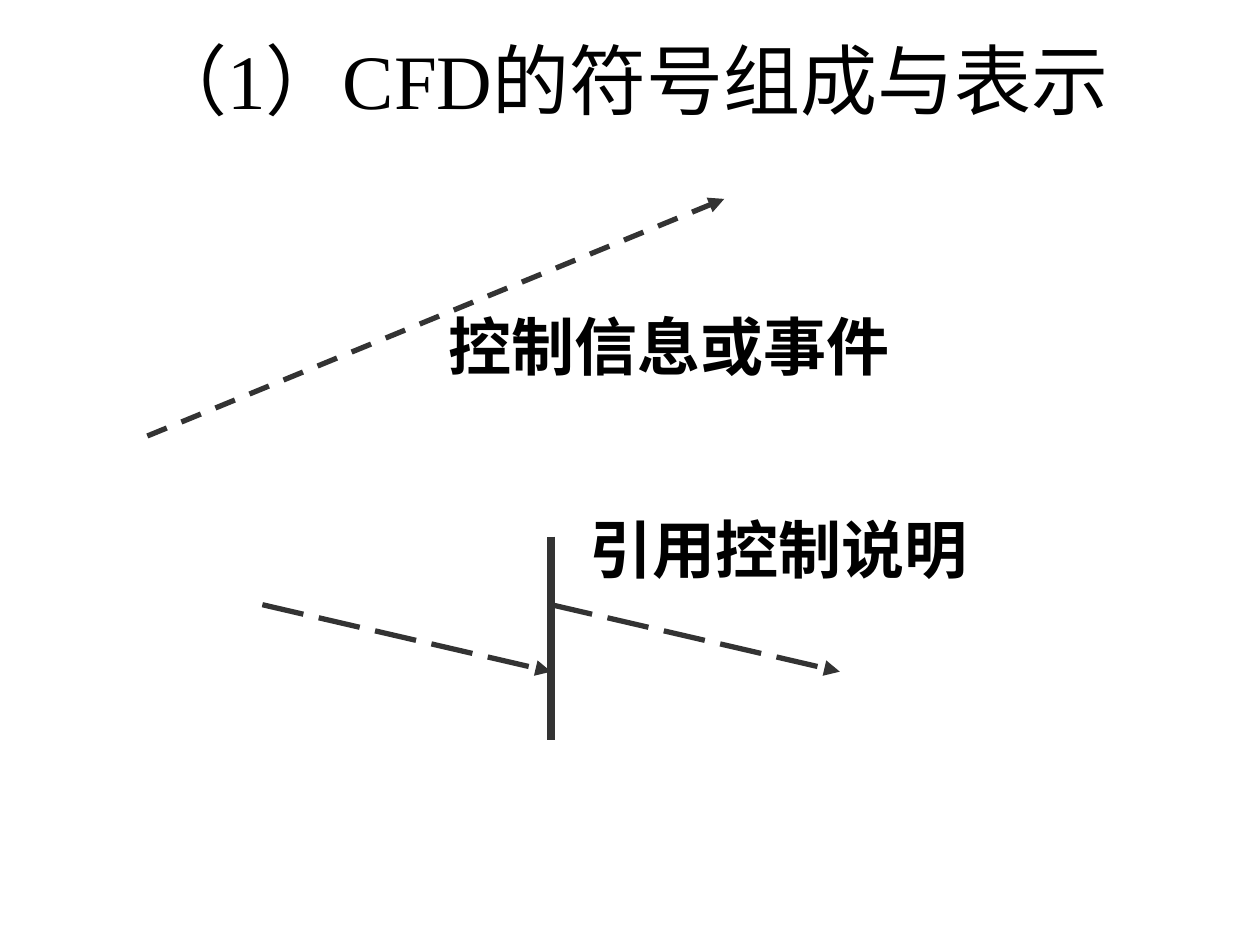
"""Build a slide showing the symbols used in a control flow diagram."""
import pptx
import pptx.dml.color
import pptx.enum.dml
import pptx.enum.shapes
import pptx.enum.text
import pptx.oxml.ns
import pptx.util
from lxml import etree

Cm = pptx.util.Cm
Pt = pptx.util.Pt
Align = pptx.enum.text.PP_ALIGN
Dash = pptx.enum.dml.MSO_LINE
qn = pptx.oxml.ns.qn

COLOURS = {"text": "000000", "line": "333333", "label": "FFFFFF"}
FONT = "Times New Roman"


def colour(name):
    return pptx.dml.color.RGBColor.from_string(COLOURS[name])


def write_text(box, text, size, alignment, anchor, bold=False):
    frame = box.text_frame
    frame.word_wrap = True
    frame.vertical_anchor = anchor
    para = frame.paragraphs[0]
    para.text = text
    para.alignment = alignment
    para.font.name = FONT
    para.font.size = Pt(size)
    para.font.bold = bold
    para.font.color.rgb = colour("text")


def add_title(page, text):
    box = page.shapes.add_textbox(Cm(1.9), Cm(0.64), Cm(21.59), Cm(1.9))
    write_text(box, text, 44, Align.CENTER, pptx.enum.text.MSO_ANCHOR.MIDDLE)


def add_label(page, text, left, top, width):
    box = page.shapes.add_shape(
        pptx.enum.shapes.MSO_SHAPE.RECTANGLE, Cm(left), Cm(top), Cm(width), Cm(2.03)
    )
    box.shadow.inherit = False
    box.fill.solid()
    box.fill.fore_color.rgb = colour("label")
    box.line.fill.background()
    write_text(box, text, 36, Align.JUSTIFY, pptx.enum.text.MSO_ANCHOR.TOP, bold=True)


def add_line(page, start, end, width, dash=None, arrow=False):
    line = page.shapes.add_connector(
        pptx.enum.shapes.MSO_CONNECTOR.STRAIGHT, *map(Cm, start + end)
    )
    line.line.color.rgb = colour("line")
    line.line.width = Pt(width)
    if dash is not None:
        line.line.dash_style = dash
    if arrow:
        etree.SubElement(line.line._get_or_add_ln(), qn("a:tailEnd"), type="triangle")
    etree.SubElement(line._element.spPr, qn("a:effectLst"))


def main():
    deck = pptx.Presentation()
    deck.slide_width, deck.slide_height = Cm(25.4), Cm(19.05)
    page = deck.slides.add_slide(deck.slide_layouts[6])

    add_title(page, "（1）CFD的符号组成与表示")
    add_label(page, "控制信息或事件", 8.79, 6.07, 11.63)
    add_line(page, (2.97, 8.79), (14.6, 4.01), 3, Dash.DASH, arrow=True)

    add_label(page, "引用控制说明", 11.63, 10.16, 10.46)
    bar_x, reach = 11.11, 5.82
    add_line(page, (bar_x, 10.82), (bar_x, 14.91), 4.5)
    for start_x in (bar_x - reach, bar_x):
        add_line(page, (start_x, 12.19), (start_x + reach, 13.54), 3,
                 Dash.LONG_DASH, arrow=True)

    deck.save("out.pptx")


if __name__ == "__main__":
    main()
